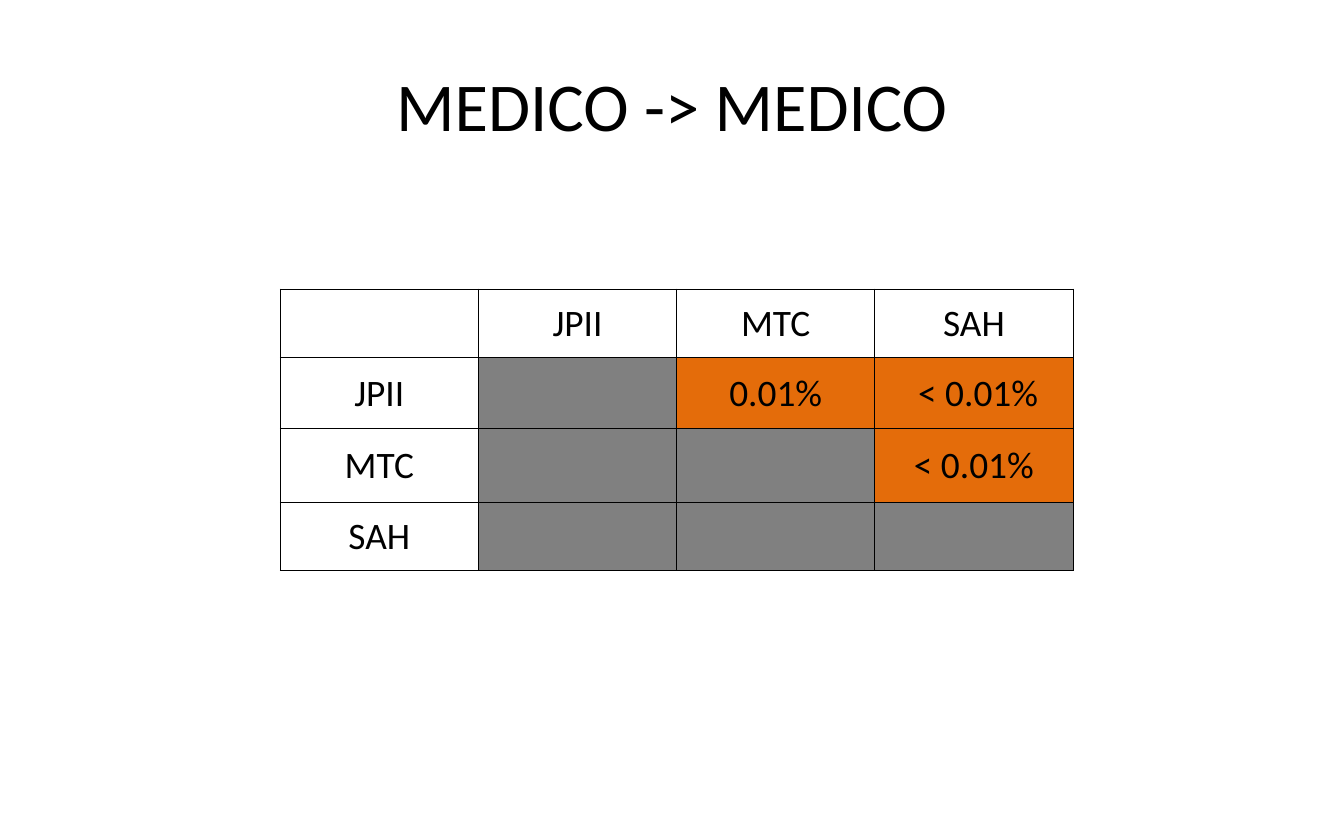
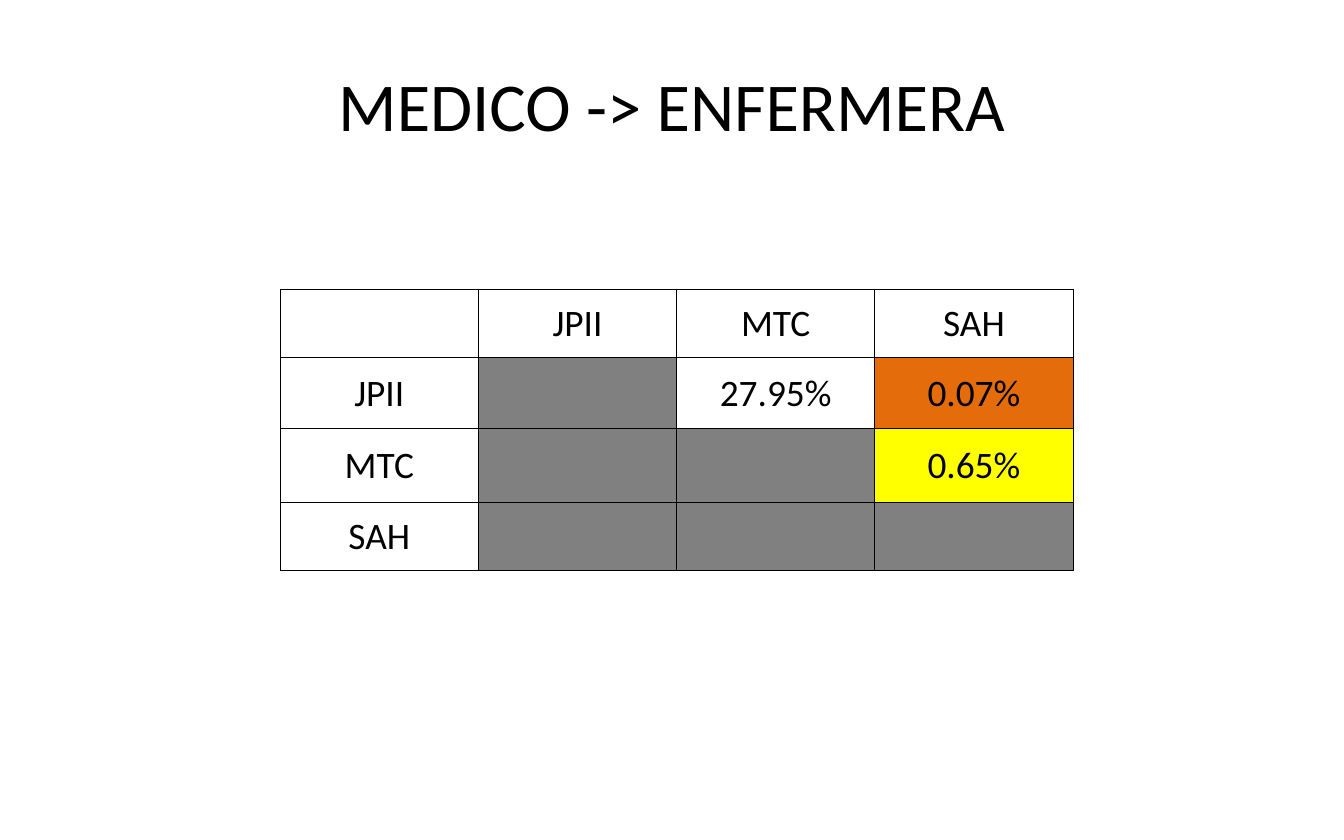
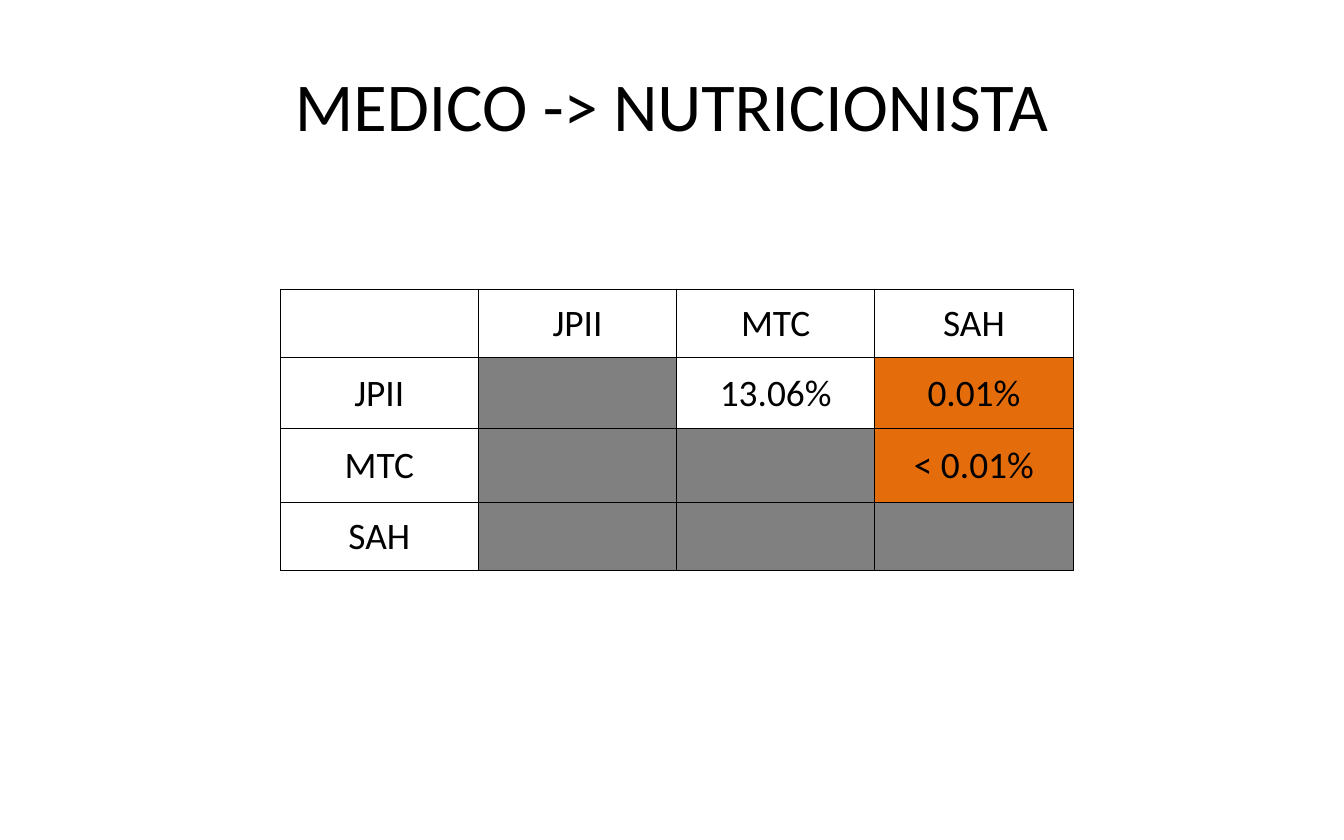
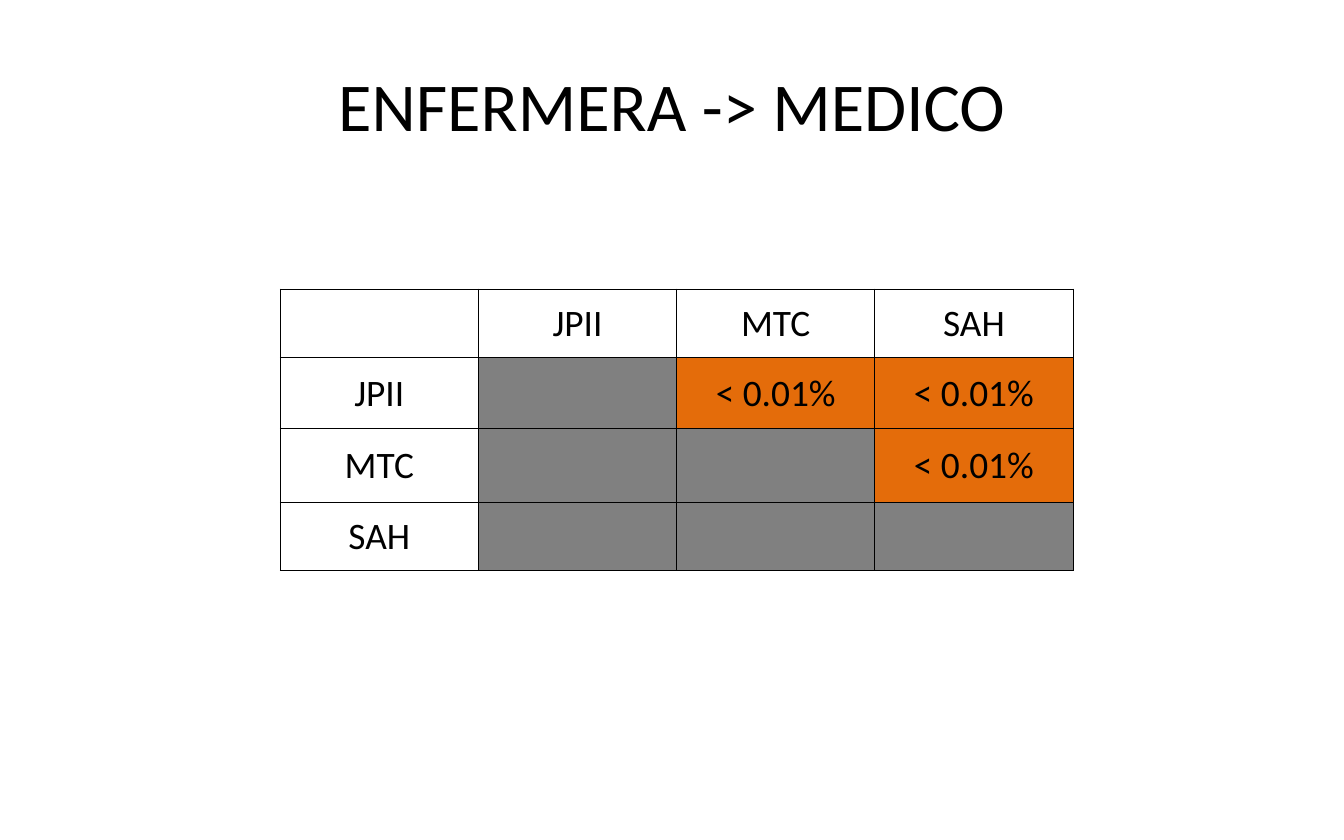
"""Build four slides of pairwise significance tables between three hospitals."""
from lxml import etree
from pptx import Presentation
from pptx.dml.color import RGBColor
from pptx.enum.text import MSO_ANCHOR, PP_ALIGN
from pptx.oxml.ns import qn
from pptx.util import Inches, Pt

CENTER = PP_ALIGN.CENTER
MIDDLE = MSO_ANCHOR.MIDDLE
COLORS = {"ink": "000000", "blocked": "808080", "strong": "E46C0A", "weak": "FFFF00"}
FONT = "Calibri"
TITLE_SIZE, CELL_SIZE = 44, 24
BORDER_WIDTH = Pt(0.5)
GRID_COLUMNS, GRID_ROWS = 20, 25
TITLE_BOX = (1, 1, 18, 4.17)
TABLE_ORIGIN = (4.17, 8.6)
TABLE_COLUMN = 2.95
TABLE_ROWS = (2.03, 2.13, 2.2, 2.03)

HOSPITALS = ("JPII", "MTC", "SAH")
RESULTS = (
    ("MEDICO -> MEDICO", ("0.01%", " < 0.01%", "< 0.01%")),
    ("MEDICO -> ENFERMERA", ("27.95%", "0.07%", "0.65%")),
    ("MEDICO -> NUTRICIONISTA", ("13.06%", "0.01%", "< 0.01%")),
    ("ENFERMERA -> MEDICO", ("< 0.01%", "< 0.01%", "< 0.01%")),
)


def write(frame, text, size=CELL_SIZE, color="ink", align=CENTER):
    para = frame.paragraphs[0]
    para.alignment = align
    span = para.add_run()
    span.text = text
    span.font.name = FONT
    span.font.size = Pt(size)
    span.font.color.rgb = RGBColor.from_string(COLORS[color])


def significance(text):
    percent = float(text.strip("< %"))
    if percent < 0.1:
        return "strong"
    return "weak" if percent < 1 else None


def comparison_cells(values):
    remaining = iter(values)
    yield [("", None)] + [(name, None) for name in HOSPITALS]
    for row, name in enumerate(HOSPITALS):
        cells = [(name, None)]
        for column in range(len(HOSPITALS)):
            if column > row:
                text = next(remaining)
                cells.append((text, significance(text)))
            else:
                cells.append(("", "blocked"))
        yield cells


class Builder:
    def __init__(self, deck):
        self.deck = deck
        self.page = None

    def across(self, columns):
        return int(self.deck.slide_width * columns / GRID_COLUMNS)

    def down(self, rows):
        return int(self.deck.slide_height * rows / GRID_ROWS)

    def add_page(self):
        self.page = self.deck.slides.add_slide(self.deck.slide_layouts[6])

    def title(self, text):
        left, top, width, height = TITLE_BOX
        box = self.page.shapes.add_textbox(
            self.across(left), self.down(top), self.across(width), self.down(height))
        box.text_frame.word_wrap = True
        box.text_frame.vertical_anchor = MIDDLE
        write(box.text_frame, text, size=TITLE_SIZE)

    def table(self, rows):
        left, top = TABLE_ORIGIN
        count = len(rows[0])
        table = self.page.shapes.add_table(
            len(rows), count, self.across(left), self.down(top),
            self.across(TABLE_COLUMN * count), self.down(sum(TABLE_ROWS))).table
        table.first_row = table.horz_banding = False
        for column in table.columns:
            column.width = self.across(TABLE_COLUMN)
        for row, height, cells in zip(table.rows, TABLE_ROWS, rows):
            row.height = self.down(height)
            for cell, (text, fill) in zip(row.cells, cells):
                self.cell(cell, text, fill)

    def cell(self, cell, text, fill):
        cell.margin_left = cell.margin_right = cell.margin_top = Inches(0.01)
        cell.margin_bottom = 0
        cell.vertical_anchor = MIDDLE
        self.borders(cell)
        if fill:
            cell.fill.solid()
            cell.fill.fore_color.rgb = RGBColor.from_string(COLORS[fill])
        else:
            cell.fill.background()
        if text:
            write(cell.text_frame, text)

    def borders(self, cell):
        properties = cell._tc.get_or_add_tcPr()
        for side in ("a:lnL", "a:lnR", "a:lnT", "a:lnB"):
            line = etree.SubElement(properties, qn(side), w=str(BORDER_WIDTH))
            fill = etree.SubElement(line, qn("a:solidFill"))
            etree.SubElement(fill, qn("a:srgbClr"), val=COLORS["ink"])


def main():
    deck = Presentation()
    deck.slide_width, deck.slide_height = Inches(12), Inches(7.5)
    builder = Builder(deck)
    for title, values in RESULTS:
        builder.add_page()
        builder.table(list(comparison_cells(values)))
        builder.title(title)
    deck.save("out.pptx")


if __name__ == "__main__":
    main()
